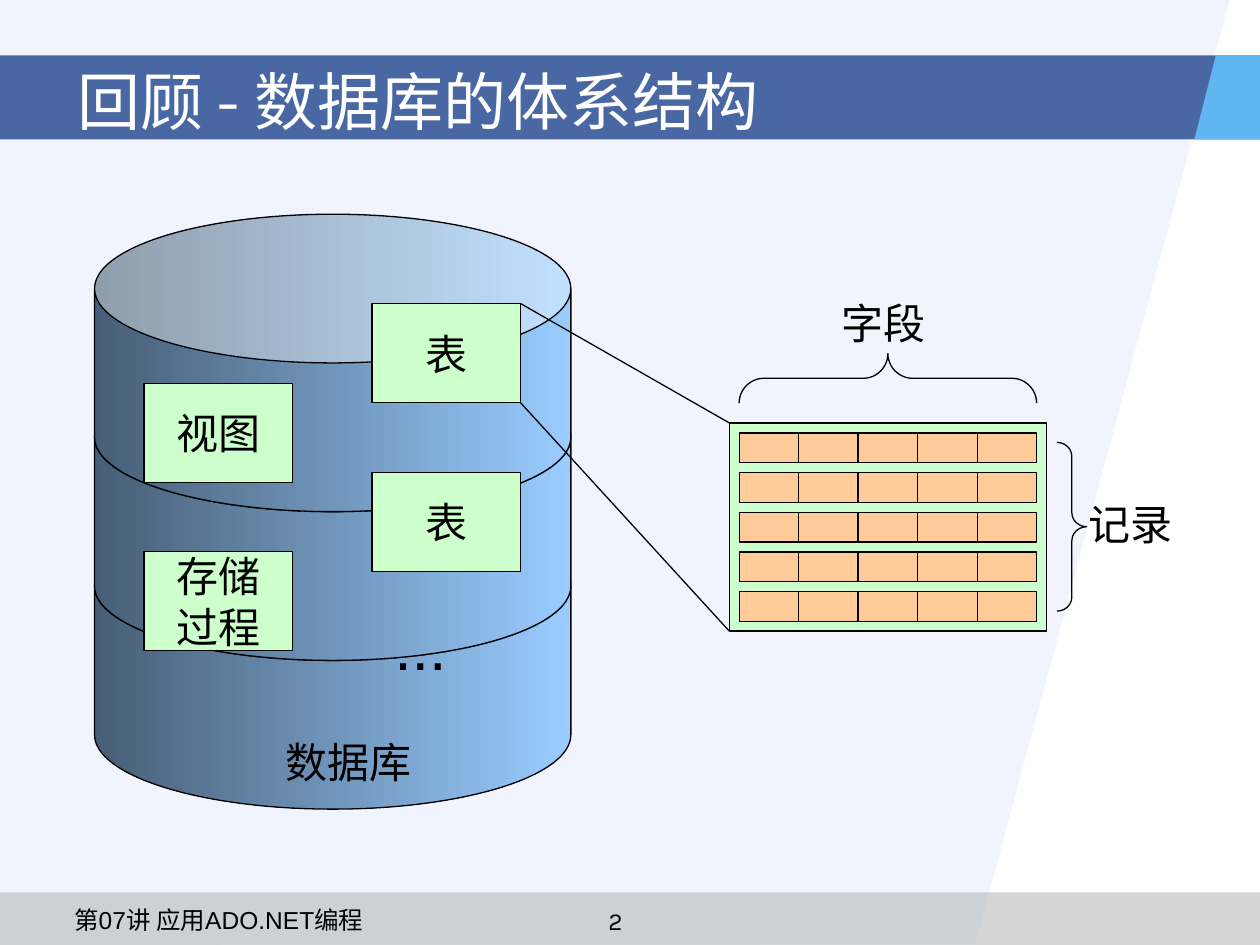
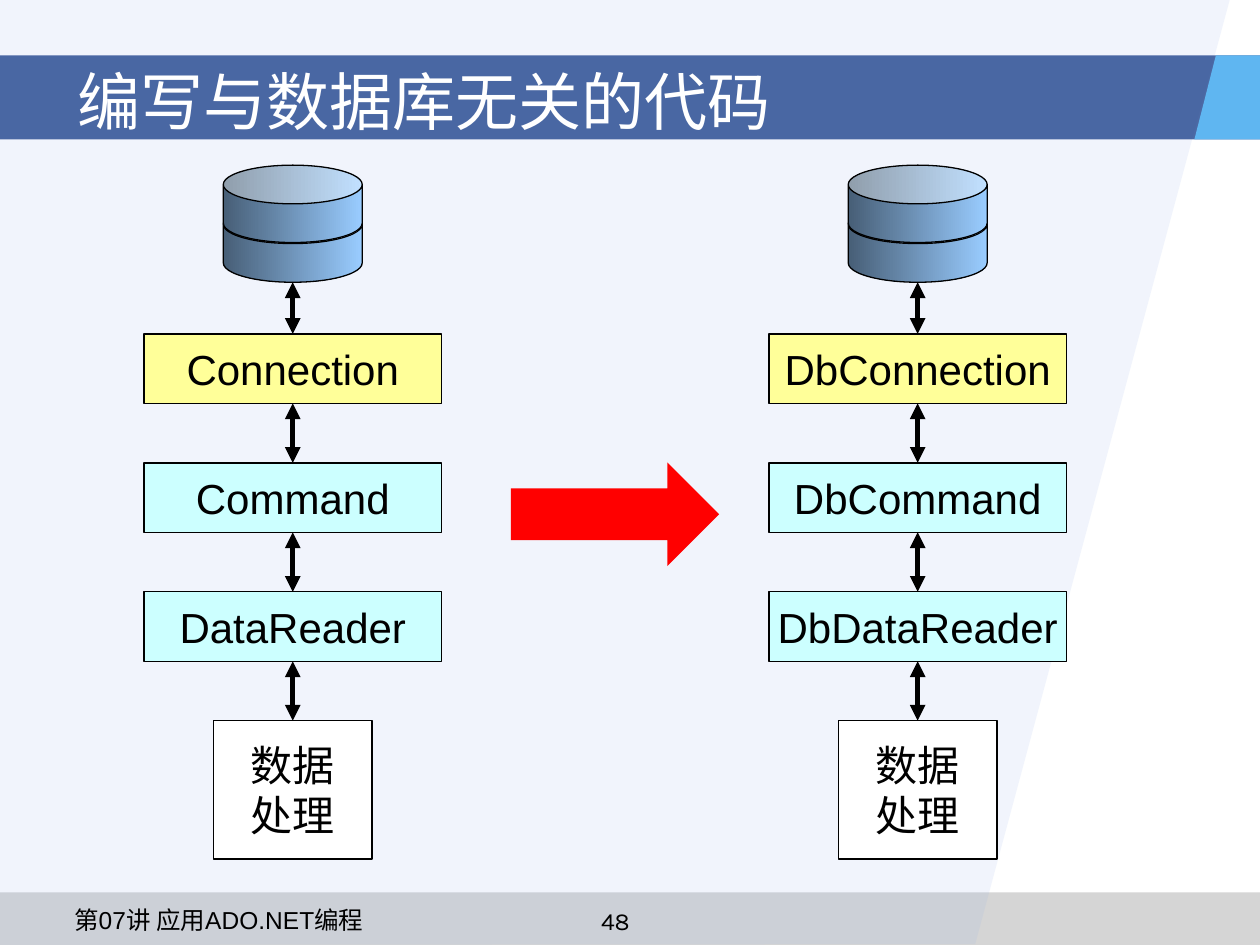
from typing import NamedTuple, Optional

from lxml.etree import SubElement
from pptx import Presentation
from pptx.dml.color import RGBColor
from pptx.enum.shapes import MSO_CONNECTOR, MSO_SHAPE
from pptx.enum.text import MSO_ANCHOR, MSO_AUTO_SIZE, PP_ALIGN
from pptx.oxml.ns import qn
from pptx.util import Pt

COLOURS = {
    "black": "000000", "white": "FFFFFF", "footer": "969696", "panel": "94B1EC",
    "band": "173D89", "band_tip": "5FB6F1", "can_dark": "475E76", "can_light": "99CCFF",
    "green": "CCFFCC", "orange": "FFCC99", "yellow": "FFFF99", "cyan": "CCFFFF",
    "red": "FF0000",
}
FOOTER_TEXT = "第07讲 应用ADO.NET编程"


class Box(NamedTuple):
    left: float
    top: float
    width: float
    height: float

    def lengths(self) -> list:
        return [Pt(value) for value in self]


class TextStyle(NamedTuple):
    size: float = 24
    font: str = "Arial"
    colour: str = "black"
    align: PP_ALIGN = PP_ALIGN.LEFT
    anchor: MSO_ANCHOR = MSO_ANCHOR.TOP
    wrap: bool = False


class Node(NamedTuple):
    text: str
    box: Box
    fill: str = "green"


TITLE = TextStyle(36, "Karla", "white", anchor=MSO_ANCHOR.MIDDLE, wrap=True)
FOOTER = TextStyle(14, wrap=True)
PAGE_NUMBER = TextStyle(14, "Karla", align=PP_ALIGN.CENTER, wrap=True)
LABEL = TextStyle()
ELLIPSIS = TextStyle(36)
NODE = TextStyle(align=PP_ALIGN.CENTER, anchor=MSO_ANCHOR.MIDDLE)


def rgb(colour: str) -> RGBColor:
    return RGBColor.from_string(COLOURS[colour])


def paint(shape, fill: Optional[str], outlined: bool = True, opacity: int = 100) -> None:
    shape.shadow.inherit = False
    if fill:
        shape.fill.solid()
        shape.fill.fore_color.rgb = rgb(fill)
    else:
        shape.fill.background()
    if opacity < 100:
        colour = shape._element.spPr.find(qn("a:solidFill"))[0]
        SubElement(colour, qn("a:alpha")).set("val", str(opacity * 1000))
    if outlined:
        shape.line.color.rgb = rgb("black")
        shape.line.width = Pt(0.75)
    else:
        shape.line.fill.background()


def write(shape, text: str, style: TextStyle) -> None:
    frame = shape.text_frame
    frame.word_wrap = style.wrap
    frame.vertical_anchor = style.anchor
    frame.text = text
    for paragraph in frame.paragraphs:
        paragraph.alignment = style.align
        paragraph.font.size = Pt(style.size)
        paragraph.font.name = style.font
        paragraph.font.color.rgb = rgb(style.colour)


def add_text(slide, text: str, box: Box, style: TextStyle = LABEL) -> None:
    shape = slide.shapes.add_textbox(*box.lengths())
    write(shape, text, style)
    if not style.wrap:
        shape.text_frame.auto_size = MSO_AUTO_SIZE.SHAPE_TO_FIT_TEXT


def add_preset(slide, kind: MSO_SHAPE, box: Box, fill: Optional[str],
               outlined: bool = True, opacity: int = 100, adjustments: tuple = ()):
    shape = slide.shapes.add_shape(kind, *box.lengths())
    for index, value in enumerate(adjustments):
        shape.adjustments[index] = value
    paint(shape, fill, outlined, opacity)
    return shape


def add_polygon(slide, points: list, fill: str, opacity: int = 100) -> None:
    start, *others = [(Pt(x), Pt(y)) for x, y in points]
    builder = slide.shapes.build_freeform(*start)
    builder.add_line_segments(others, close=True)
    paint(builder.convert_to_shape(), fill, False, opacity)


def add_node(slide, node: Node) -> None:
    write(add_preset(slide, MSO_SHAPE.RECTANGLE, node.box, node.fill), node.text, NODE)


def add_cans(slide, top_can: Box, count: int, pitch: float) -> None:
    """Stack cans from the lowest up, so each one covers the lid below it."""
    for level in reversed(range(count)):
        box = top_can._replace(top=top_can.top + level * pitch)
        can = add_preset(slide, MSO_SHAPE.CAN, box, None, adjustments=(0.5,))
        can.fill.gradient()
        can.fill.gradient_angle = 0
        for stop, colour in zip(can.fill.gradient_stops, ("can_dark", "can_light")):
            stop.color.rgb = rgb(colour)


def add_line(slide, start: tuple, end: tuple, width: float = 0.75,
             double_headed: bool = False) -> None:
    connector = slide.shapes.add_connector(
        MSO_CONNECTOR.STRAIGHT, *[Pt(value) for value in start + end])
    connector.line.color.rgb = rgb("black")
    connector.line.width = Pt(width)
    properties = connector._element.spPr
    if double_headed:
        for tag in ("a:headEnd", "a:tailEnd"):
            SubElement(properties.find(qn("a:ln")), qn(tag)).set("type", "triangle")
    SubElement(properties, qn("a:effectLst"))


def add_base_slide(presentation, title: str, number: int):
    """Add a slide with the shared bands, footer and title."""
    slide = presentation.slides.add_slide(presentation.slide_layouts[6])
    add_preset(slide, MSO_SHAPE.RECTANGLE, Box(0, 510, 720, 30), "footer", False, 40)
    add_polygon(slide, [(0, 0), (702.7, 0), (557.3, 539.5), (0, 540)], "panel", 13)
    add_preset(slide, MSO_SHAPE.RECTANGLE, Box(0, 31.7, 720, 48), "band", False, 77)
    add_polygon(slide, [(694.8, 31.7), (682.5, 79.7), (720, 79.7), (720, 31.7)], "band_tip")
    add_text(slide, str(number), Box(303.8, 514, 95.8, 18), PAGE_NUMBER)
    add_text(slide, FOOTER_TEXT, Box(35.3, 513.7, 256.3, 17.3), FOOTER)
    add_text(slide, title, Box(37.2, 26, 648, 62.6), TITLE)
    return slide


def add_record_grid(slide, frame: Box) -> None:
    add_preset(slide, MSO_SHAPE.RECTANGLE, frame, "green")
    for row in range(5):
        for column in range(5):
            cell = Box(frame.left + 5.6 + column * 34, frame.top + 5.7 + row * 22.7, 34, 17)
            add_preset(slide, MSO_SHAPE.RECTANGLE, cell, "orange")


def build_architecture_slide(presentation) -> None:
    slide = add_base_slide(presentation, "回顾 - 数据库的体系结构", 2)
    add_cans(slide, Box(54, 122.4, 272.2, 170), 3, 85)

    left, right, width, height = 82.2, 212.5, 85, 56.7
    table = Box(right, 173.5, width, height)
    add_node(slide, Node("视图", Box(left, 219, width, height)))
    add_text(slide, "...", Box(218.2, 343.4, 48, 50.4), ELLIPSIS)
    add_node(slide, Node("表", Box(right, 270, width, height)))
    add_node(slide, Node("表", table))
    add_node(slide, Node("存储\n过程", Box(left, 315.2, width, height)))

    grid = Box(416.8, 241.7, 181.3, 119)
    add_record_grid(slide, grid)
    add_preset(slide, MSO_SHAPE.RIGHT_BRACE, Box(604, 252.8, 17, 96.4), None,
               adjustments=(0.47, 0.5))
    add_text(slide, "记录", Box(614.9, 281.5, 66, 36))
    field_brace = add_preset(slide, MSO_SHAPE.LEFT_BRACE, Box(493.2, 131.2, 28.3, 170), None,
                             adjustments=(0.5, 0.5))
    field_brace.rotation = 90
    add_text(slide, "字段", Box(473.8, 166.3, 66, 36))

    table_right = table.left + table.width
    add_line(slide, (table_right, table.top), (grid.left, grid.top))
    add_line(slide, (table_right, table.top + height), (grid.left, grid.top + grid.height))
    add_text(slide, "数据库", Box(156.2, 417.6, 90, 36))


def add_data_chain(slide, left: float, names: list) -> None:
    """Draw database, access classes and processing, joined by double arrows."""
    width, height, first_top, pitch = 170, 39.7, 190.8, 73.7
    center = left + width / 2
    nodes = [Node(name, Box(left, first_top + index * pitch, width, height), fill)
             for index, (name, fill) in enumerate(zip(names, ("yellow", "cyan", "cyan")))]
    nodes.append(Node("数据\n处理", Box(center - 45.4, 411.8, 90.7, 79.2), "white"))
    bottom = 161.3
    for node in nodes:
        add_node(slide, node)
        add_line(slide, (center, bottom), (center, node.box.top), 3, True)
        bottom = node.box.top + node.box.height
    add_cans(slide, Box(center - 39.7, 94.4, 79.4, 44.2), 2, 22.7)


def build_portable_code_slide(presentation) -> None:
    slide = add_base_slide(presentation, "编写与数据库无关的代码", 48)
    names = ["Connection", "Command", "DataReader"]
    add_data_chain(slide, 82.3, names)
    add_data_chain(slide, 439.4, [f"Db{name}" for name in names])
    add_preset(slide, MSO_SHAPE.RIGHT_ARROW, Box(292, 264.3, 119, 59.2), "red", False,
               adjustments=(0.5, 0.5))


def main() -> None:
    presentation = Presentation()
    presentation.slide_width = Pt(720)
    presentation.slide_height = Pt(540)
    build_architecture_slide(presentation)
    build_portable_code_slide(presentation)
    presentation.save("out.pptx")


if __name__ == "__main__":
    main()
